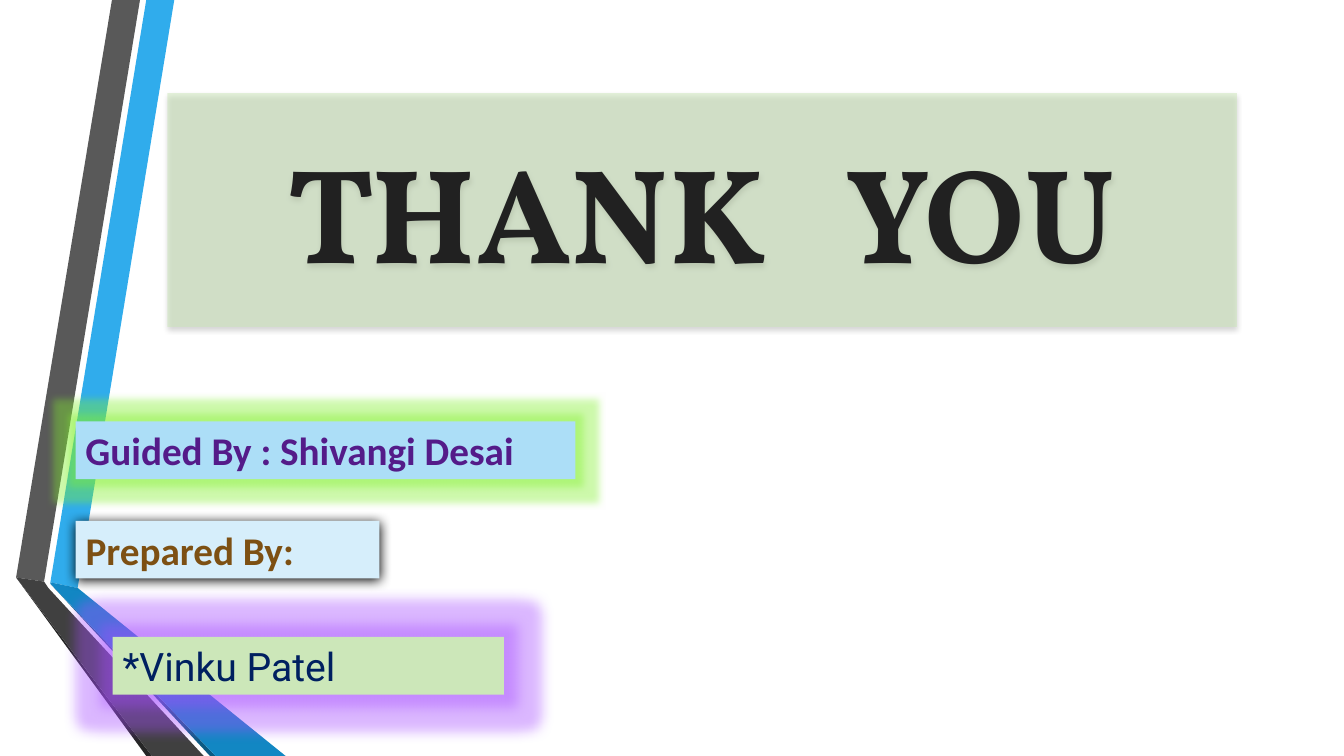
import pptx
import pptx.util
import pptx.dml.color
import pptx.enum.text
import pptx.enum.shapes
import pptx.oxml
import pptx.oxml.ns

Pt = pptx.util.Pt

HEX = {
    "sky": "30ACEC", "grey": "595959", "black": "000000", "coal": "262626",
    "navy": "0C5A82", "blue": "1287C3", "dark": "404040",
    "pale": "D6EEFB", "light": "ACDEF7", "sage": "CCE7B9",
    "brown": "7D5013", "ink": "212121", "deep": "002060", "plum": "541B89",
    "lime": "82F02D", "violet": "A64DFF",
}

# Ribbon bands: colour, corners
BANDS = [
    ("sky", [(36, 416), (55.5, 420), (124.5, 0), (104.5, 0)]),
    ("grey", [(100, 0), (80, 0), (11.5, 412.5), (31.5, 415.5)]),
    ("coal", [(11.5, 412.5), (104.5, 540), (108.5, 540)]),
    ("navy", [(36, 417), (150, 540), (154, 540)]),
    ("blue", [(36, 416), (36, 417), (154, 540), (204, 540), (55.5, 420)]),
    ("dark", [(145.5, 540), (34.5, 420), (31.5, 415.5), (11.5, 412.5),
              (108.5, 540)]),
]

TITLE = {"text": "THANK   YOU", "box": (119.5, 66.5, 764, 167),
         "fill": "sage", "font": ("Vollkorn", 96, True, "ink"),
         "shadow": (32, 3.5, 2.2)}

# shadow: opacity %, blur, distance; glow: colour, opacity %, radius
LABELS = [
    {"text": "Prepared By:", "box": (54, 372, 217, 41.2), "fill": "pale",
     "font": ("Calibri", 28, True, "brown"), "shadow": (100, 8.5, 1)},
    {"text": "*Vinku Patel", "box": (80.5, 455, 279.5, 41.2), "fill": "sage",
     "font": ("Roboto", 28, False, "deep"), "glow": ("violet", 40, 18)},
    {"text": "Guided By : Shivangi Desai", "box": (54, 301, 357, 41.2),
     "fill": "light", "font": ("Calibri", 28, True, "plum"),
     "glow": ("lime", 40, 11)},
]


def rgb(name):
    return pptx.dml.color.RGBColor.from_string(HEX[name])


def paint(shape, name):
    shape.shadow.inherit = False
    shape.fill.solid()
    shape.fill.fore_color.rgb = rgb(name)
    shape.line.fill.background()


def tint(name, alpha):
    return (f'<a:srgbClr val="{HEX[name]}">'
            f'<a:alpha val="{alpha * 1000}"/></a:srgbClr>')


def effect(shape, tag, attrs, color):
    space = pptx.oxml.ns.nsdecls("a")
    node = pptx.oxml.parse_xml(f"<a:{tag} {space} {attrs}>{color}</a:{tag}>")
    shape.element.spPr.find(pptx.oxml.ns.qn("a:effectLst")).append(node)


def dress(shape, item):
    """Place, fill, letter and add effects to a text panel."""
    shape.left, shape.top, shape.width, shape.height = map(Pt, item["box"])
    paint(shape, item["fill"])
    if "shadow" in item:
        alpha, blur, dist = item["shadow"]
        effect(shape, "outerShdw",
               f'blurRad="{Pt(blur)}" dist="{Pt(dist)}" dir="5400000" '
               'algn="ctr" rotWithShape="0"', tint("black", alpha))
    if "glow" in item:
        name, alpha, size = item["glow"]
        effect(shape, "glow", f'rad="{Pt(size)}"', tint(name, alpha))
    frame = shape.text_frame
    frame.text = item["text"]
    frame.word_wrap = True
    frame.auto_size = pptx.enum.text.MSO_AUTO_SIZE.NONE
    frame.vertical_anchor = pptx.enum.text.MSO_ANCHOR.MIDDLE
    line = frame.paragraphs[0]
    line.alignment = pptx.enum.text.PP_ALIGN.LEFT
    font = line.runs[0].font
    font.name, size, font.bold, name = item["font"]
    font.size = Pt(size)
    font.color.rgb = rgb(name)


def main():
    deck = pptx.Presentation()
    deck.slide_width, deck.slide_height = Pt(960), Pt(540)
    slide = deck.slides.add_slide(deck.slide_layouts[5])
    shapes = slide.shapes

    for name, spots in BANDS:
        spots = [(Pt(x), Pt(y)) for x, y in spots]
        path = shapes.build_freeform(*spots[0])
        path.add_line_segments(spots[1:], close=True)
        paint(path.convert_to_shape(), name)

    title = shapes.title
    dress(title, TITLE)
    title.text_frame.paragraphs[0].alignment = pptx.enum.text.PP_ALIGN.CENTER
    color = title.element.spPr.find(".//" + pptx.oxml.ns.qn("a:srgbClr"))
    color.append(pptx.oxml.parse_xml(
        f'<a:alpha {pptx.oxml.ns.nsdecls("a")} val="50000"/>'))

    for item in LABELS:
        kind = pptx.enum.shapes.MSO_SHAPE.RECTANGLE
        dress(shapes.add_shape(kind, *map(Pt, item["box"])), item)

    deck.save("out.pptx")


if __name__ == "__main__":
    main()
